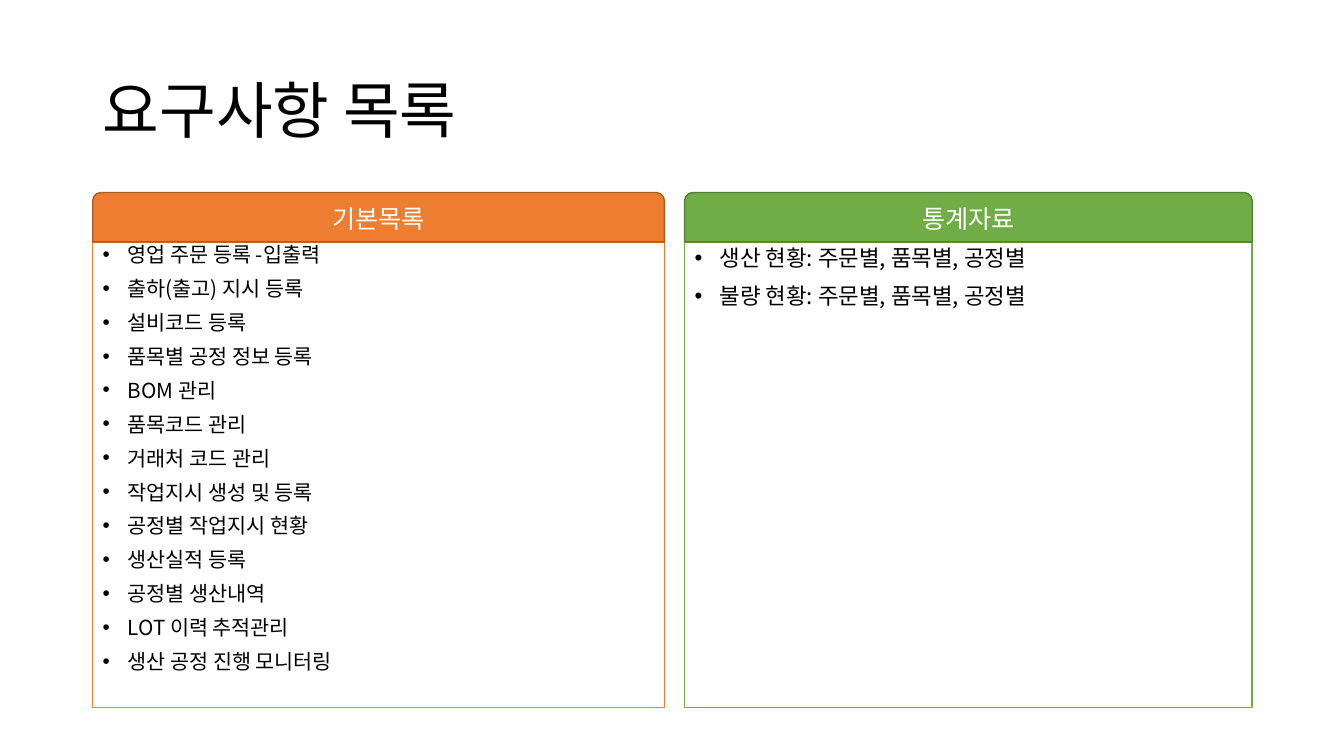
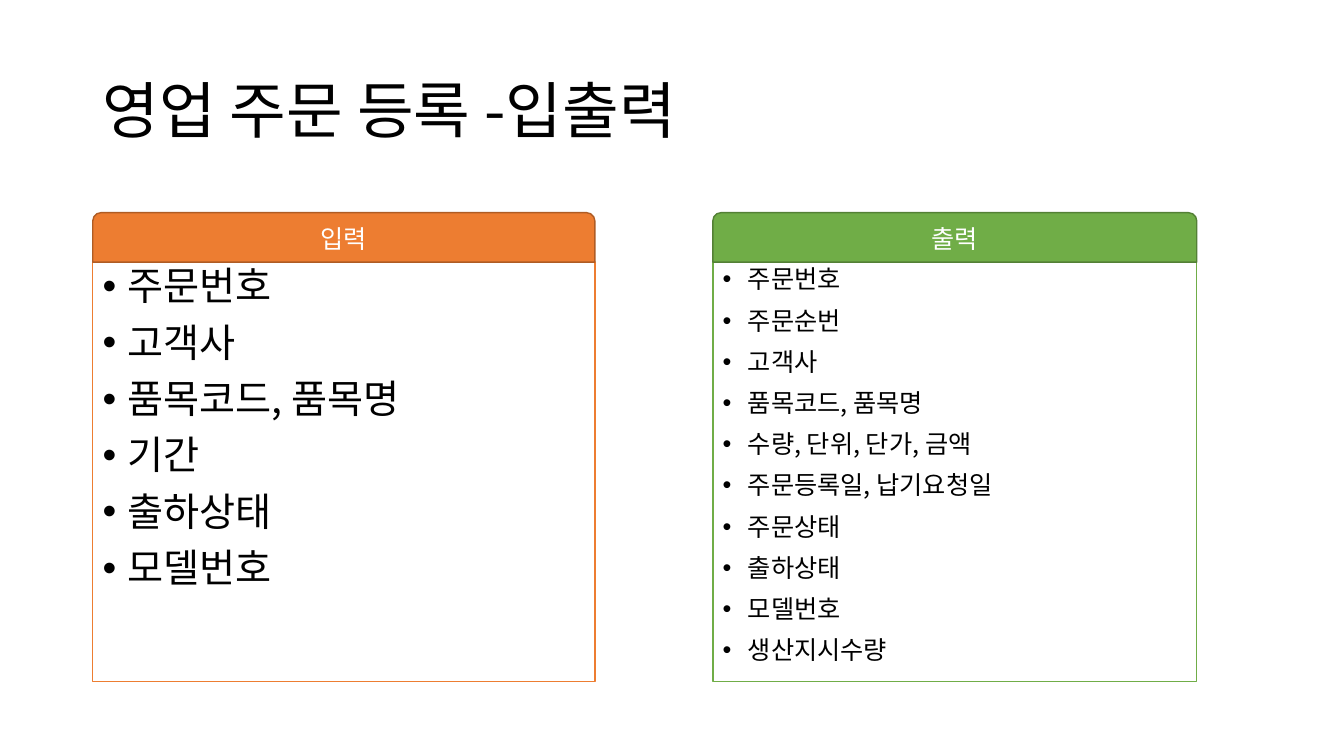
from lxml import etree
from pptx import Presentation
from pptx import util as u
from pptx.dml.color import RGBColor
from pptx.enum import shapes, text
from pptx.oxml.ns import qn

WIDTH, HEIGHT = 13.33, 7.5
MARGIN = 0.92
HEADER_HEIGHT = 0.49
FONT = "Noto Sans CJK KR"
BLACK, WHITE = "000000", "FFFFFF"
ORANGE = {"fill": "ED7D31", "edge": "AF5C24"}
GREEN = {"fill": "70AD47", "edge": "538035"}


def color(value):
    return RGBColor.from_string(value)


def add_bullet(paragraph, indent=0.25):
    properties = paragraph._p.get_or_add_pPr()
    properties.set("marL", str(u.Inches(indent)))
    properties.set("indent", str(-u.Inches(indent)))
    etree.SubElement(properties, qn("a:buFont")).set("typeface", "Arial")
    etree.SubElement(properties, qn("a:buChar")).set("char", "•")


def write(shape, lines, size, ink=BLACK, align=text.PP_ALIGN.LEFT,
          anchor=text.MSO_ANCHOR.MIDDLE, spacing=1.0, before=0, bullet=False):
    frame = shape.text_frame
    frame.word_wrap = True
    frame.vertical_anchor = anchor
    for index, line in enumerate(lines):
        paragraph = frame.paragraphs[0] if index == 0 else frame.add_paragraph()
        paragraph.alignment = align
        paragraph.line_spacing = spacing
        paragraph.space_before = u.Pt(before)
        if bullet:
            add_bullet(paragraph)
        run = paragraph.add_run()
        run.text = line
        run.font.size = u.Pt(size)
        run.font.name = FONT
        run.font.color.rgb = color(ink)
        east_asian = etree.SubElement(run.font._element, qn("a:ea"))
        east_asian.set("typeface", FONT)


def add_box(slide, kind, box, fill, line):
    shape = slide.shapes.add_shape(kind, *map(u.Inches, box))
    shape.shadow.inherit = False
    shape.fill.solid()
    shape.fill.fore_color.rgb = color(fill)
    shape.line.color.rgb = color(line)
    shape.line.width = u.Pt(1)
    return shape


def add_title(slide, title):
    box = (MARGIN, 0.4, WIDTH - 2 * MARGIN, 1.45)
    shape = slide.shapes.add_textbox(*map(u.Inches, box))
    write(shape, [title], 44, spacing=0.9)


def add_panel(slide, box, theme, heading, items, size, spacing=0.9):
    """Draw a bulleted list under a coloured heading, together filling the box."""
    left, top, width, height = box
    body = add_box(slide, shapes.MSO_SHAPE.RECTANGLE,
                   (left, top + HEADER_HEIGHT, width, height - HEADER_HEIGHT),
                   WHITE, theme["fill"])
    write(body, items, size, anchor=text.MSO_ANCHOR.TOP,
          spacing=spacing, before=10, bullet=True)
    header = add_box(slide, shapes.MSO_SHAPE.ROUND_2_SAME_RECTANGLE,
                     (left, top, width, HEADER_HEIGHT),
                     theme["fill"], theme["edge"])
    write(header, [heading], 18, ink=WHITE, align=text.PP_ALIGN.CENTER)


def add_two_panel_slide(presentation, title, top, height, widths, gap, panels):
    slide = presentation.slides.add_slide(presentation.slide_layouts[6])
    add_title(slide, title)
    left = MARGIN
    for width, theme, panel in zip(widths, (ORANGE, GREEN), panels):
        add_panel(slide, (left, top, width, height), theme, **panel)
        left += width + gap


def main():
    presentation = Presentation()
    presentation.slide_width = u.Inches(WIDTH)
    presentation.slide_height = u.Inches(HEIGHT)

    order_entry = "영업 주문 등록 -입출력"
    add_two_panel_slide(
        presentation, "요구사항 목록", top=1.91, height=5.11,
        widths=(5.67, 5.63), gap=0.2,
        panels=[
            {"heading": "기본목록", "size": 14.8, "spacing": 0.8, "items": [
                order_entry, "출하(출고) 지시 등록", "설비코드 등록",
                "품목별 공정 정보 등록", "BOM 관리", "품목코드 관리",
                "거래처 코드 관리", "작업지시 생성 및 등록",
                "공정별 작업지시 현황", "생산실적 등록", "공정별 생산내역",
                "LOT 이력 추적관리", "생산 공정 진행 모니터링"]},
            {"heading": "통계자료", "size": 16, "items": [
                f"{subject} 현황: 주문별, 품목별, 공정별"
                for subject in ("생산", "불량")]},
        ])
    add_two_panel_slide(
        presentation, order_entry, top=2.11, height=4.65,
        widths=(4.98, 4.8), gap=1.17,
        panels=[
            {"heading": "입력", "size": 28, "items": [
                "주문번호", "고객사", "품목코드, 품목명", "기간",
                "출하상태", "모델번호"]},
            {"heading": "출력", "size": 18, "items": [
                "주문번호", "주문순번", "고객사", "품목코드, 품목명",
                "수량, 단위, 단가, 금액", "주문등록일, 납기요청일",
                "주문상태", "출하상태", "모델번호", "생산지시수량"]},
        ])
    presentation.save("out.pptx")


if __name__ == "__main__":
    main()
